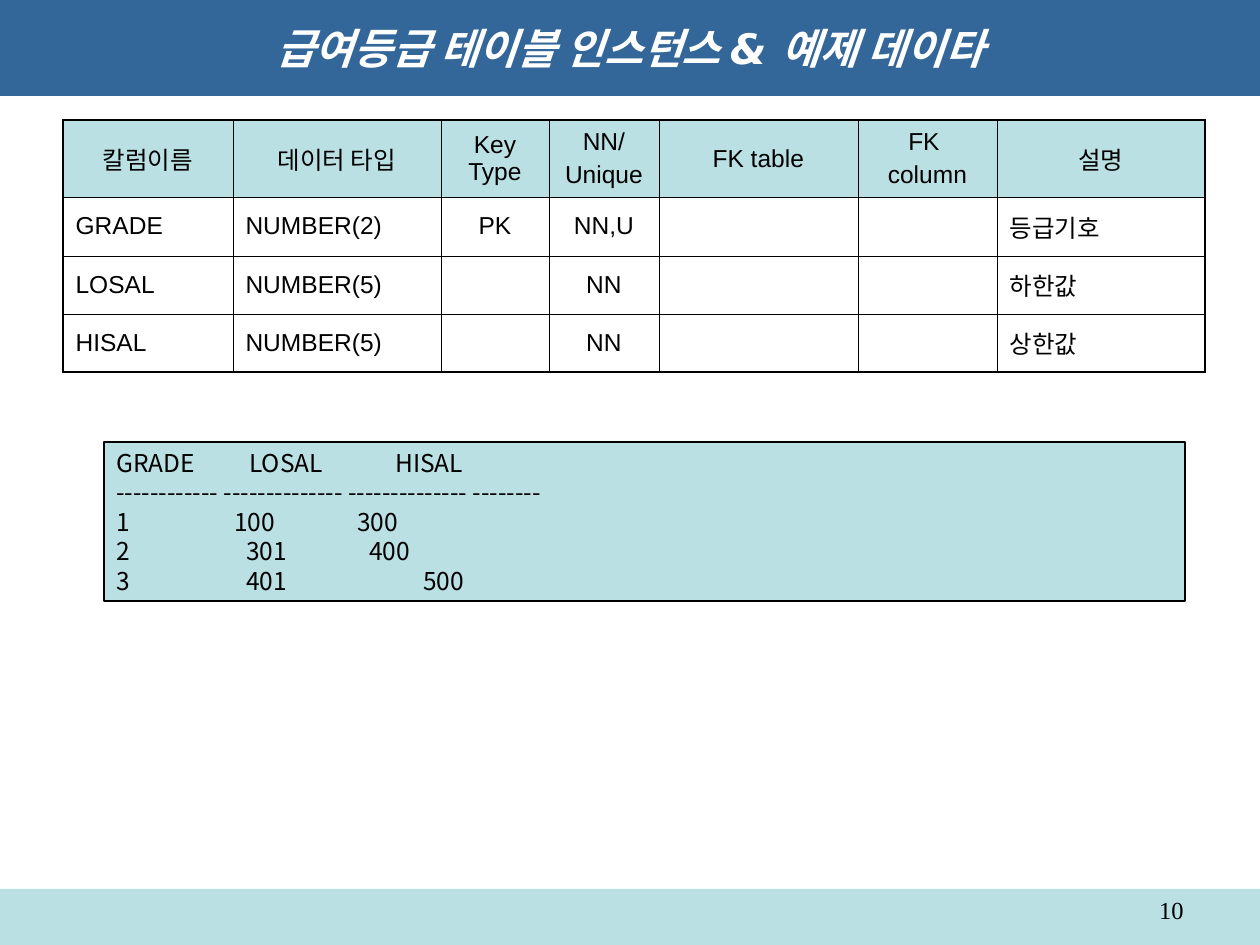
from pptx import Presentation
from pptx.dml.color import RGBColor
from pptx.enum.shapes import MSO_SHAPE as Shape
from pptx.enum.text import MSO_ANCHOR as Anchor, PP_ALIGN as Align
from pptx.oxml.ns import qn
from pptx.util import Emu, Pt
from lxml.etree import SubElement, Element

SLIDE_W, SLIDE_H = 1260, 945
COLORS = {"blue": "336699", "pale": "BBE0E3", "white": "FFFFFF", "black": "000000"}
HANGUL_FONT = "Noto Sans CJK KR"
THIN, THICK = 0.45, 1.08

HEADERS = ["칼럼이름", "데이터 타입", "Key Type", "NN/\nUnique", "FK table", "FK \ncolumn", "설명"]
COLUMN_ROWS = [
    ["GRADE", "NUMBER(2)", "PK", "NN,U", "", "", "등급기호"],
    ["LOSAL", "NUMBER(5)", "", "NN", "", "", "하한값"],
    ["HISAL", "NUMBER(5)", "", "NN", "", "", "상한값"],
]
COLUMN_WIDTHS = [170, 208, 108, 110, 199, 139, 208]
ROW_HEIGHTS = [77, 59, 58, 58]
CENTERED_COLUMNS = {2, 3}

# Each line of sample data with the tab stops of its fields
SAMPLE_LINES = [
    ("GRADE\tLOSAL\tHISAL", (133, 279)),
    ("------------ -------------- -------------- --------", ()),
    ("1\t100\t300", (118, 241)),
    ("2\t301\t400", (130, 253)),
    ("3\t401\t500", (130, 307)),
]


def px(length):
    return Emu(round(length * 914400 / 126))


def rgb(name):
    return RGBColor.from_string(COLORS[name])


def paint(shape, fill, line=None):
    shape.shadow.inherit = False
    shape.fill.solid()
    shape.fill.fore_color.rgb = rgb(fill)
    if line:
        shape.line.color.rgb = rgb(line)
        shape.line.width = Pt(0.75)
    else:
        shape.line.fill.background()


def add_run(paragraph, text, font, size=14, color="black"):
    run = paragraph.add_run()
    run.text = text
    run.font.name = font
    run.font.size = Pt(size)
    run.font.color.rgb = rgb(color)
    SubElement(run.font._element, qn("a:ea"), typeface=HANGUL_FONT)
    return run


def next_paragraph(frame, index):
    return frame.add_paragraph() if index else frame.paragraphs[0]


def set_tab_stops(paragraph, stops):
    tab_list = SubElement(paragraph._p.get_or_add_pPr(), qn("a:tabLst"))
    for stop in stops:
        SubElement(tab_list, qn("a:tab"), pos=str(px(stop)), algn="l")


def set_borders(cell, widths):
    properties = cell._tc.get_or_add_tcPr()
    for index, (side, width) in enumerate(zip("LRTB", widths)):
        border = Element(qn(f"a:ln{side}"), w=str(Pt(width)))
        fill = SubElement(border, qn("a:solidFill"))
        SubElement(fill, qn("a:srgbClr"), val=COLORS["black"])
        properties.insert(index, border)


def title_bar(slide, x, y, w, h):
    title = slide.shapes.title
    title.left, title.top, title.width, title.height = map(px, (x, y, w, h))
    title.fill.solid()
    title.fill.fore_color.rgb = rgb("blue")
    frame = title.text_frame
    frame.vertical_anchor = Anchor.MIDDLE
    heading = frame.paragraphs[0]
    heading.alignment = Align.CENTER
    run = add_run(heading, "급여등급 테이블 인스턴스 & 예제 데이타", "DejaVu Sans", 24, "white")
    run.font.bold = run.font.italic = True


def column_table(slide, x, y):
    rows = [HEADERS] + COLUMN_ROWS
    last_row, last_column = len(rows) - 1, len(HEADERS) - 1
    table = slide.shapes.add_table(
        len(rows), len(HEADERS), px(x), px(y), px(sum(COLUMN_WIDTHS)), px(sum(ROW_HEIGHTS))
    ).table
    for column, width in zip(table.columns, COLUMN_WIDTHS):
        column.width = px(width)
    for row, height in zip(table.rows, ROW_HEIGHTS):
        row.height = px(height)

    for r, row in enumerate(rows):
        for c, text in enumerate(row):
            cell = table.cell(r, c)
            cell.vertical_anchor = Anchor.MIDDLE
            outer = (c == 0, c == last_column, r == 0, r == last_row)
            set_borders(cell, [THICK if edge else THIN for edge in outer])
            cell.fill.solid()
            cell.fill.fore_color.rgb = rgb("white" if r else "pale")
            if not text:
                continue
            for index, line in enumerate(text.split("\n")):
                paragraph = next_paragraph(cell.text_frame, index)
                paragraph.space_before = Pt(3.5)
                centered = r == 0 or c in CENTERED_COLUMNS
                paragraph.alignment = Align.CENTER if centered else Align.LEFT
                add_run(paragraph, line, "Arial")


def sample_data(slide, x, y, w, h):
    panel = slide.shapes.add_shape(Shape.RECTANGLE, px(x), px(y), px(w), px(h))
    paint(panel, "pale", "black")
    frame = panel.text_frame
    frame.word_wrap = True
    frame.vertical_anchor = Anchor.MIDDLE
    for index, (text, stops) in enumerate(SAMPLE_LINES):
        paragraph = next_paragraph(frame, index)
        paragraph.alignment = Align.LEFT
        paragraph.line_spacing = Pt(16.9)
        set_tab_stops(paragraph, stops)
        add_run(paragraph, text, HANGUL_FONT)


def footer(slide, x, y, w, h):
    band = slide.shapes.add_shape(Shape.RECTANGLE, px(x), px(y), px(w), px(h))
    paint(band, "pale")
    # Page number, right-aligned inside the band
    number_w, right_margin = 293, 64
    number_box = slide.shapes.add_textbox(
        px(x + w - right_margin - number_w), px(y), px(number_w), px(37)
    )
    number_box.text_frame.word_wrap = True
    paragraph = number_box.text_frame.paragraphs[0]
    paragraph.alignment = Align.RIGHT
    add_run(paragraph, "10", "Times New Roman")


def main():
    deck = Presentation()
    deck.slide_width, deck.slide_height = px(SLIDE_W), px(SLIDE_H)
    slide = deck.slides.add_slide(deck.slide_layouts[5])
    title_bar(slide, 0, 0, SLIDE_W, 96)
    column_table(slide, 63, 120)
    sample_data(slide, 104, 442, 1081, 159)
    footer(slide, 0, 889, SLIDE_W, 56)
    deck.save("out.pptx")


if __name__ == "__main__":
    main()
